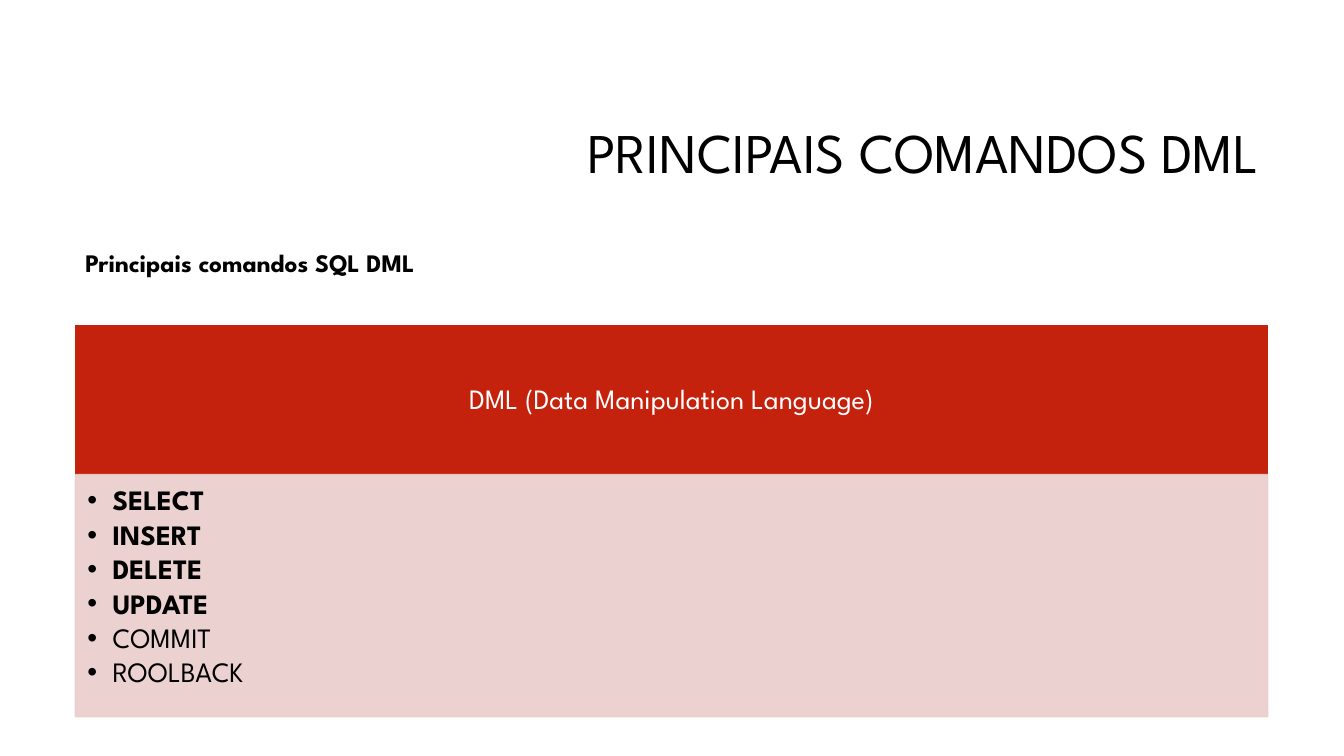
from dataclasses import dataclass

from lxml import etree
from pptx import Presentation
from pptx.dml.color import RGBColor
from pptx.enum.shapes import MSO_SHAPE
from pptx.enum.text import MSO_ANCHOR, MSO_AUTO_SIZE, PP_ALIGN
from pptx.oxml.ns import qn
from pptx.util import Cm, Pt

RECT = MSO_SHAPE.RECTANGLE
TOP, MIDDLE = MSO_ANCHOR.TOP, MSO_ANCHOR.MIDDLE
LEFT, CENTER, RIGHT = PP_ALIGN.LEFT, PP_ALIGN.CENTER, PP_ALIGN.RIGHT
FIT_SHAPE = MSO_AUTO_SIZE.SHAPE_TO_FIT_TEXT


@dataclass(frozen=True)
class Theme:
    font: str = "League Spartan"
    black: str = "000000"
    white: str = "FFFFFF"
    red: str = "C4220D"
    pink: str = "EACDCC"
    title: int = 40
    body: int = 20
    label: int = 18


THEME = Theme()
PANEL_LEFT, PANEL_WIDTH = 1.9, 30.05
HEADER_TOP, HEADER_HEIGHT, LIST_HEIGHT = 8.2, 3.76, 6.1
COMMANDS = [("SELECT", True), ("INSERT", True), ("DELETE", True),
            ("UPDATE", True), ("COMMIT", False), ("ROOLBACK", False)]


def add_text(p, text, size=THEME.body, color=THEME.black, bold=False,
             align=LEFT, spacing=0.9, after=0):
    p.alignment = align
    p.line_spacing = spacing
    p.space_after = Pt(after)
    r = p.add_run()
    r.text = text
    r.font.name = THEME.font
    r.font.size = Pt(size)
    r.font.bold = bold
    r.font.color.rgb = RGBColor.from_string(color)


def add_bullet(p, indent):
    pPr = p._p.get_or_add_pPr()
    pPr.set("marL", str(indent))
    pPr.set("indent", str(-indent))
    etree.SubElement(pPr, qn("a:buFont")).set("typeface", "Arial")
    etree.SubElement(pPr, qn("a:buChar")).set("char", "•")


def set_alpha(sp, percent):
    for clr in sp._element.spPr.iter(qn("a:srgbClr")):
        etree.SubElement(clr, qn("a:alpha")).set("val", str(percent * 1000))


def add_textbox(s, left, top, width, height, anchor=TOP, wrap=True):
    tf = s.shapes.add_textbox(Cm(left), Cm(top), Cm(width), Cm(height)).text_frame
    tf.word_wrap = wrap
    tf.vertical_anchor = anchor
    return tf


def add_panel(s, top, height, color, anchor, insets):
    sp = s.shapes.add_shape(RECT, Cm(PANEL_LEFT), Cm(top), Cm(PANEL_WIDTH), Cm(height))
    sp.shadow.inherit = False
    sp.fill.solid()
    sp.fill.fore_color.rgb = RGBColor.from_string(color)
    sp.line.color.rgb = RGBColor.from_string(color)
    sp.line.width = Pt(1)
    tf = sp.text_frame
    tf.word_wrap = True
    tf.vertical_anchor = anchor
    tf.margin_left, tf.margin_top, tf.margin_right, tf.margin_bottom = map(Cm, insets)
    return sp


def add_command_list(tf, commands):
    for i, (command, bold) in enumerate(commands):
        p = tf.add_paragraph() if i else tf.paragraphs[0]
        add_text(p, command, bold=bold, after=3)
        add_bullet(p, Cm(0.64))


def main():
    prs = Presentation()
    prs.slide_width, prs.slide_height = Cm(33.87), Cm(19.05)
    s = prs.slides.add_slide(prs.slide_layouts[6])

    tf = add_textbox(s, 8.05, 2.13, 23.93, 3.58, anchor=MIDDLE)
    add_text(tf.paragraphs[0], "PRINCIPAIS COMANDOS DML", size=THEME.title, align=RIGHT)

    header = add_panel(s, HEADER_TOP, HEADER_HEIGHT, THEME.red, MIDDLE,
                       (0.4, 0.23, 0.4, 0.23))
    add_text(header.text_frame.paragraphs[0], "DML (Data Manipulation Language)",
             color=THEME.white, align=CENTER)

    panel = add_panel(s, HEADER_TOP + HEADER_HEIGHT, LIST_HEIGHT, THEME.pink, TOP,
                      (0.3, 0.3, 0.4, 0.43))
    set_alpha(panel, 90)
    add_command_list(panel.text_frame, COMMANDS)

    tf = add_textbox(s, PANEL_LEFT, 6.1, 9.8, 1.02, wrap=False)
    tf.auto_size = FIT_SHAPE
    add_text(tf.paragraphs[0], "Principais comandos SQL DML", size=THEME.label,
             bold=True, spacing=1.0)

    prs.save("out.pptx")


if __name__ == "__main__":
    main()
